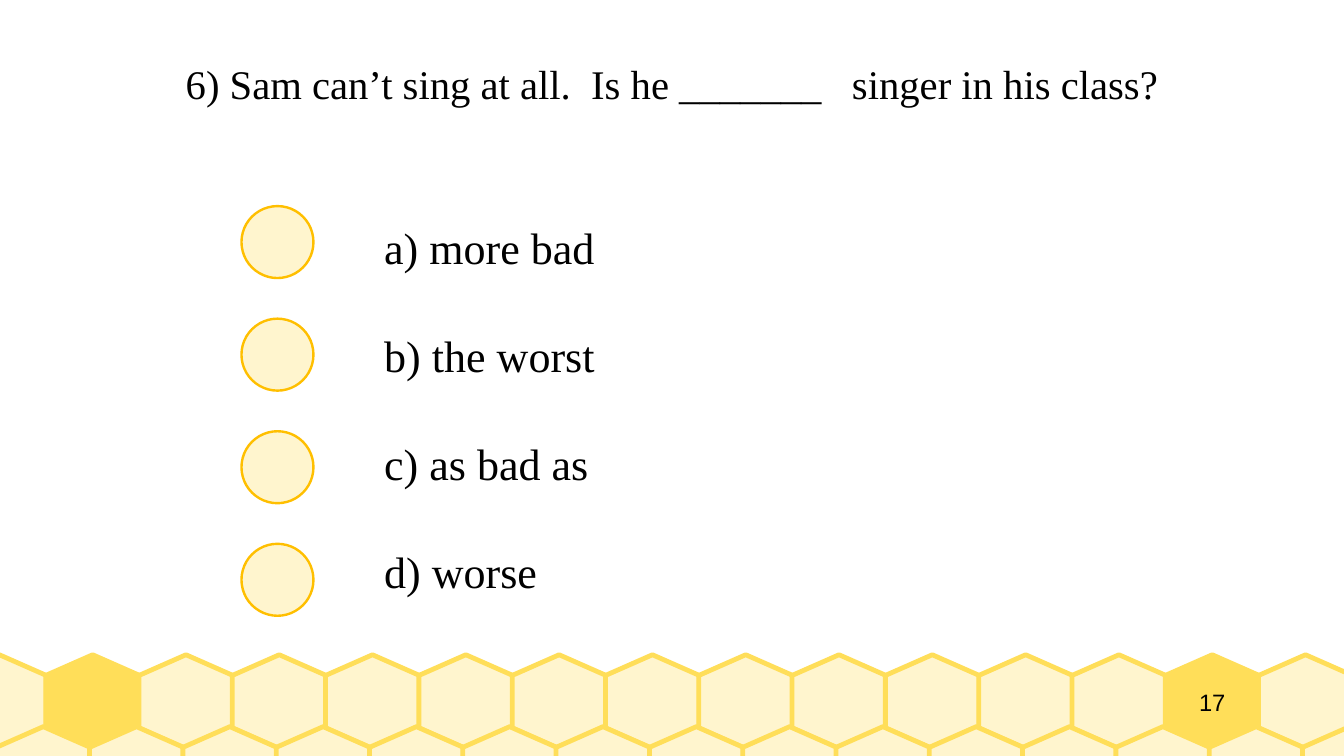
from dataclasses import dataclass

from lxml import etree
from pptx import Presentation
from pptx.dml.color import RGBColor
from pptx.enum import shapes, text
from pptx.util import Inches, Pt


@dataclass(frozen=True)
class Theme:
    ink: RGBColor = RGBColor.from_string("000000")
    cream: RGBColor = RGBColor.from_string("FFF5CE")
    honey: RGBColor = RGBColor.from_string("FFDE59")
    amber: RGBColor = RGBColor.from_string("FFBF00")
    serif: str = "Times New Roman"
    sans: str = "Arial"
    question_size: float = 24
    answer_size: float = 26
    number_size: float = 14
    answer_gap: float = 32.5
    comb_line: float = 2.83
    circle_line: float = 1.42


THEME = Theme()
HEX_SIZE = 0.77
CIRCLE_SIZE = 0.59


def paint(sp, fill, line, width):
    sp.shadow.inherit = False
    sp.fill.solid()
    sp.fill.fore_color.rgb = fill
    sp.line.color.rgb = line
    sp.line.width = Pt(width)


def add_text(slide, box, lines, font, size, align, anchor, gap=0):
    tf = slide.shapes.add_textbox(*map(Inches, box)).text_frame
    tf.word_wrap = True
    tf.vertical_anchor = anchor
    tf.margin_left = tf.margin_right = tf.margin_top = tf.margin_bottom = 0
    for i, line in enumerate(lines):
        p = tf.add_paragraph() if i else tf.paragraphs[0]
        p.alignment = align
        p.space_after = Pt(gap)
        r = p.add_run()
        r.text = line
        r.font.name = font
        r.font.size = Pt(size)
        r.font.color.rgb = THEME.ink


def add_hexagon(slide, left, top, fill):
    half, shoulder = HEX_SIZE / 2, 0.17
    outline = [
        (half, 0), (0, shoulder), (0, HEX_SIZE - shoulder),
        (half, HEX_SIZE), (HEX_SIZE, HEX_SIZE - shoulder), (HEX_SIZE, shoulder),
    ]
    points = [(Inches(left + x), Inches(top + y)) for x, y in outline]
    fb = slide.shapes.build_freeform(*points[0], scale=1.0)
    fb.add_line_segments(points[1:], close=True)
    paint(fb.convert_to_shape(), fill, THEME.honey, THEME.comb_line)


def add_honeycomb(slide, box, number):
    left, top, width, height = box
    count, solid = 15, (1, 13)
    pitch = (width - HEX_SIZE) / (count - 1)
    rows = [(left, top, solid), (left + 0.36, top + 0.59, ())]
    for row_left, row_top, filled in rows:
        for i in range(count):
            fill = THEME.honey if i in filled else THEME.cream
            add_hexagon(slide, row_left + i * pitch, row_top, fill)
    number_box = (left + solid[-1] * pitch, top, HEX_SIZE, HEX_SIZE)
    add_text(slide, number_box, [number], THEME.sans, THEME.number_size,
             text.PP_ALIGN.CENTER, text.MSO_ANCHOR.MIDDLE)


def add_question(slide, box, question):
    add_text(slide, box, [question], THEME.serif, THEME.question_size,
             text.PP_ALIGN.CENTER, text.MSO_ANCHOR.MIDDLE)


def add_answers(slide, box, answers):
    left, top, width, height = box
    pitch = (height - CIRCLE_SIZE) / (len(answers) - 1)
    for i in range(len(answers)):
        sp = slide.shapes.add_shape(
            shapes.MSO_SHAPE.OVAL, Inches(left), Inches(top + i * pitch),
            Inches(CIRCLE_SIZE), Inches(CIRCLE_SIZE))
        paint(sp, THEME.cream, THEME.amber, THEME.circle_line)
    indent, drop = 1.17, 0.12
    text_box = (left + indent, top + drop, width - indent, height - drop)
    add_text(slide, text_box, answers, THEME.serif, THEME.answer_size,
             text.PP_ALIGN.LEFT, text.MSO_ANCHOR.TOP, THEME.answer_gap)


def main():
    prs = Presentation()
    prs.slide_width = Inches(11.02)
    prs.slide_height = Inches(6.2)
    slide = prs.slides.add_slide(prs.slide_layouts[6])
    add_honeycomb(slide, (-0.39, 5.37, 11.48, 1.36), "17")
    add_question(
        slide, (0.59, 0.18, 9.84, 1.01),
        "6) Sam can’t sing at all.  Is he _______   singer in his class?")
    add_answers(
        slide, (1.98, 1.69, 8.65, 3.36),
        ["a) more bad", "b) the worst", "c) as bad as", "d) worse"])
    prs.save("out.pptx")


main()
